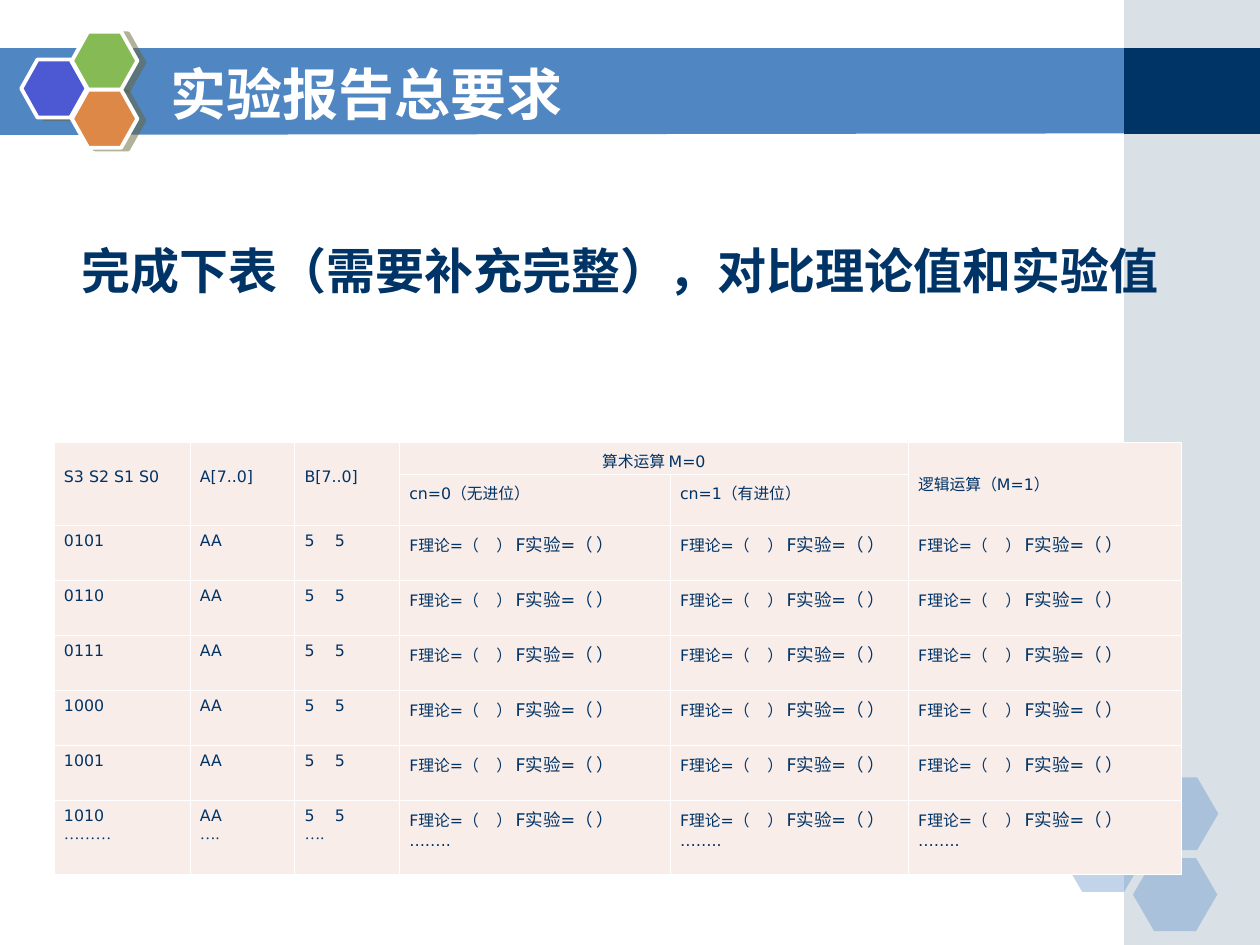
from lxml.etree import SubElement
from pptx import Presentation
from pptx.dml.color import RGBColor
from pptx.enum.shapes import MSO_SHAPE
from pptx.enum.text import MSO_AUTO_SIZE, PP_ALIGN
from pptx.oxml.ns import qn
from pptx.util import Cm, Pt

NAVY = RGBColor(0x00, 0x33, 0x66)
BLUE = RGBColor(0x50, 0x86, 0xC2)
MIST = RGBColor(0xA0, 0xB5, 0xC4)
INDIGO = RGBColor(0x4C, 0x59, 0xD2)
GREEN = RGBColor(0x85, 0xBA, 0x54)
ORANGE = RGBColor(0xDE, 0x88, 0x48)
OLIVE = RGBColor(0x66, 0x66, 0x33)
BLUSH = RGBColor(0xF9, 0xED, 0xE9)
WHITE = RGBColor(0xFF, 0xFF, 0xFF)

SANS = "DejaVu Sans"
SERIF = "Times New Roman"
CODES = ["0101", "0110", "0111", "1000", "1001", "1010"]
COLUMN_WIDTHS = [2.74, 2.11, 2.11, 5.46, 4.8, 5.51]
ROW_HEIGHTS = [0.38, 0.76] + [0.84] * 5 + [1.22]


def paint(shape, colour, opacity=100):
    shape.shadow.inherit = False
    shape.line.fill.background()
    shape.fill.solid()
    shape.fill.fore_color.rgb = colour
    if opacity < 100:
        tint = shape.fill._xPr.find(qn("a:solidFill"))[0]
        SubElement(tint, qn("a:alpha"), val=str(opacity * 1000))


def add_block(page, kind, left, top, width, height, colour, opacity=100):
    shape = page.shapes.add_shape(kind, Cm(left), Cm(top), Cm(width), Cm(height))
    paint(shape, colour, opacity)
    return shape


def style(font, size, colour=NAVY, name=SANS, bold=False):
    font.size = Pt(size)
    font.name = name
    font.bold = bold
    font.color.rgb = colour


def add_backdrop(page, width, height):
    band = page.shapes.build_freeform(0, Cm(0.97))
    band.add_line_segments([(Cm(22.73), Cm(0.97)), (Cm(22.73), Cm(2.69)), (0, Cm(2.72))])
    paint(band.convert_to_shape(), BLUE)
    side_width = 2.74
    side_left = width - side_width
    add_block(page, MSO_SHAPE.RECTANGLE, side_left, 0, side_width, height, MIST, 40)
    add_block(page, MSO_SHAPE.RECTANGLE, side_left, 0.97, side_width, 1.73, NAVY)


def add_faint_cluster(page, left, top):
    for across, down in [(0, 0.84), (1.47, 0), (1.45, 1.63)]:
        hexagon = add_block(page, MSO_SHAPE.HEXAGON, left + across, top + down, 1.7, 1.47, BLUE, 35)
        hexagon.adjustments[0] = 0.29


def add_emblem(page, left, top):
    for across, down, colour in [(0, 0.56, INDIGO), (1.02, 0, GREEN), (1.02, 1.17, ORANGE)]:
        hexagon = add_block(page, MSO_SHAPE.HEXAGON, left + across, top + down, 1.32, 1.17, colour)
        hexagon.adjustments[0] = 0.28
        hexagon.line.color.rgb = WHITE
        hexagon.line.width = Pt(2.25)
        effects = hexagon._element.spPr.find(qn("a:effectLst"))
        shadow = SubElement(effects, qn("a:outerShdw"), blurRad="0", dist=str(Pt(4.1)),
                            dir=str(14 * 60000), algn="ctr", rotWithShape="0")
        tint = SubElement(shadow, qn("a:srgbClr"), val=str(OLIVE))
        SubElement(tint, qn("a:alpha"), val="50000")


def add_heading(page, left, top, width, height, text, size, colour):
    box = page.shapes.add_textbox(Cm(left), Cm(top), Cm(width), Cm(height))
    box.text_frame.word_wrap = True
    para = box.text_frame.paragraphs[0]
    para.text = text
    style(para.font, size, colour, bold=True)
    return box


def prepare_cell(cell):
    cell.margin_left = cell.margin_right = Cm(0.2)
    cell.margin_top = cell.margin_bottom = Cm(0.13)
    properties = cell._tc.get_or_add_tcPr()
    for edge in ("a:lnL", "a:lnR", "a:lnT", "a:lnB"):
        line = SubElement(properties, qn(edge), w=str(Pt(0.45)))
        SubElement(SubElement(line, qn("a:solidFill")), qn("a:srgbClr"), val=str(WHITE))
    cell.fill.solid()
    cell.fill.fore_color.rgb = BLUSH


def write(para, text, name=SANS, align=PP_ALIGN.JUSTIFY):
    para.text = text
    para.alignment = align
    style(para.font, 9, name=name)


def write_result(para):
    para.alignment = PP_ALIGN.JUSTIFY
    for text, size in [("F理论=（     ） ", 9), ("F实验=（ ）", 10)]:
        span = para.add_run()
        span.text = text
        style(span.font, size)


def write_pair(para):
    write(para, "5\t5")
    stops = SubElement(para._p.get_or_add_pPr(), qn("a:tabLst"))
    para._p.pPr.insert(0, stops)
    SubElement(stops, qn("a:tab"), pos=str(Cm(0.61)), algn="l")


def add_header(table):
    for column, text in [(0, "S3 S2 S1 S0"), (1, "A[7..0]"), (2, "B[7..0]"), (5, "逻辑运算（M=1）")]:
        table.cell(0, column).merge(table.cell(1, column))
        para = table.cell(0, column).text_frame.paragraphs[0]
        write(para, text)
        para.line_spacing = 2.0
    table.cell(0, 3).merge(table.cell(0, 4))
    write(table.cell(0, 3).text_frame.paragraphs[0], "算术运算 M=0", align=PP_ALIGN.CENTER)
    for column, text in [(3, "cn=0（无进位）"), (4, "cn=1（有进位）")]:
        write(table.cell(1, column).text_frame.paragraphs[0], text)


def add_results_table(page, left, top):
    frame = page.shapes.add_table(len(ROW_HEIGHTS), len(COLUMN_WIDTHS), Cm(left), Cm(top),
                                  Cm(sum(COLUMN_WIDTHS)), Cm(sum(ROW_HEIGHTS)))
    table = frame.table
    table.first_row = table.horz_banding = False
    for column, width in zip(table.columns, COLUMN_WIDTHS):
        column.width = Cm(width)
    for row, height in zip(table.rows, ROW_HEIGHTS):
        row.height = Cm(height)
    for cell in table.iter_cells():
        prepare_cell(cell)
    add_header(table)
    for row, code in enumerate(CODES, start=2):
        paras = [cell.text_frame.paragraphs[0] for cell in table.rows[row].cells]
        write(paras[0], code)
        write(paras[1], "AA")
        write_pair(paras[2])
        for para in paras[3:]:
            write_result(para)
    endings = [("………", SERIF), ("….", SERIF), ("….", SERIF)] + [("……..", SANS)] * 3
    for cell, (dots, name) in zip(table.rows[len(ROW_HEIGHTS) - 1].cells, endings):
        write(cell.text_frame.add_paragraph(), dots, name)


def main():
    deck = Presentation()
    deck.slide_width, deck.slide_height = Cm(25.4), Cm(19.05)
    page = deck.slides.add_slide(deck.slide_layouts[6])
    add_backdrop(page, 25.4, 19.05)
    add_faint_cluster(page, 21.39, 15.67)
    add_emblem(page, 0.43, 0.64)
    task = add_heading(page, 1.4, 4.72, 22.43, 1.45, "完成下表（需要补充完整），对比理论值和实验值", 28, NAVY)
    task.text_frame.paragraphs[0].space_before = Pt(7)
    task.text_frame.auto_size = MSO_AUTO_SIZE.SHAPE_TO_FIT_TEXT
    add_heading(page, 3.18, 1.07, 20.73, 1.57, "实验报告总要求", 32, WHITE)
    add_results_table(page, 1.09, 8.92)
    deck.save("out.pptx")


if __name__ == "__main__":
    main()
